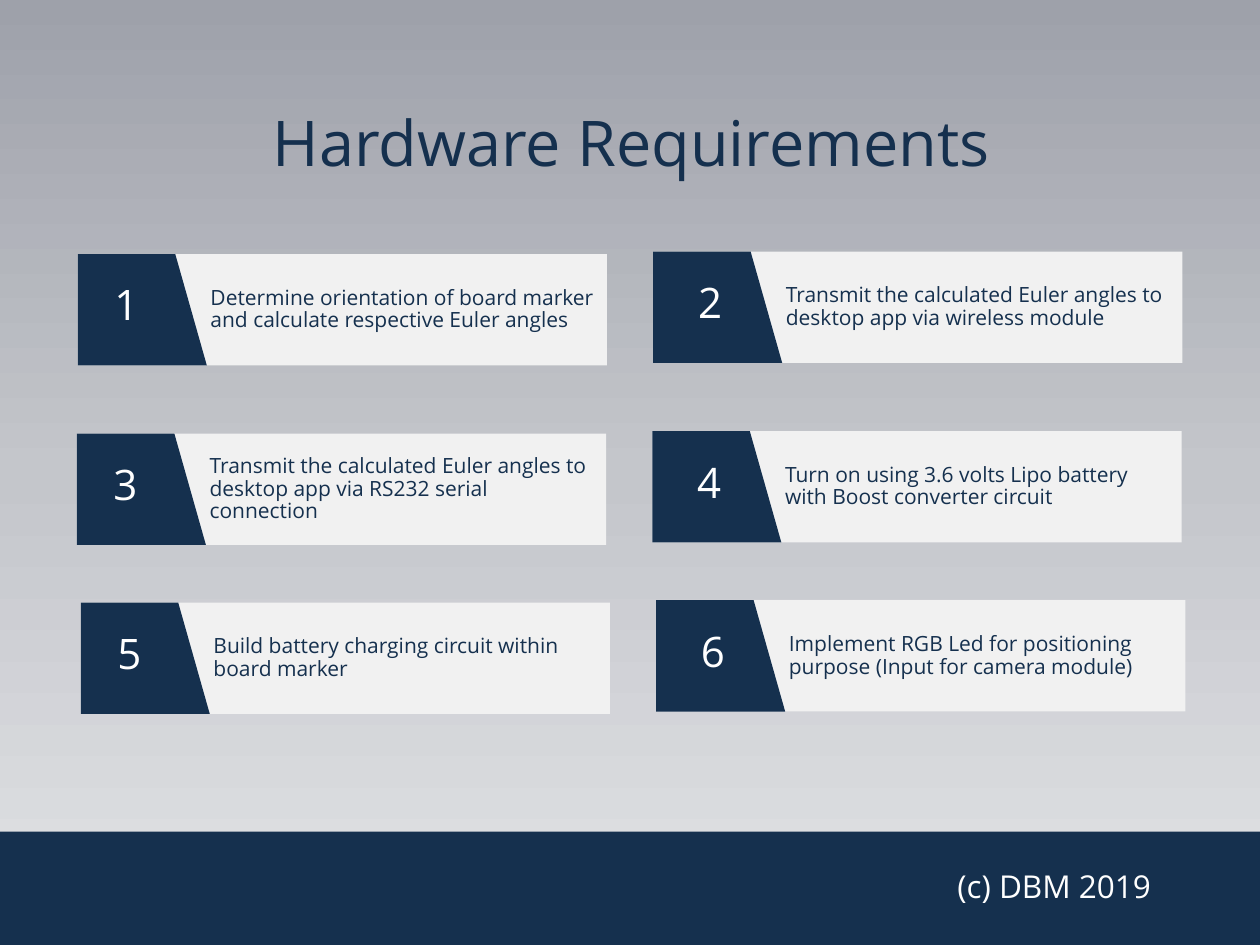
from copy import deepcopy
from dataclasses import dataclass

from pptx import Presentation
from pptx.dml.color import RGBColor
from pptx.enum.shapes import MSO_SHAPE
from pptx.enum.text import MSO_ANCHOR, MSO_AUTO_SIZE, PP_ALIGN
from pptx.oxml.ns import qn
from pptx.util import Pt


@dataclass(frozen=True)
class Theme:
    font: str = "Open Sans"
    navy: RGBColor = RGBColor(0x15, 0x30, 0x4E)
    panel: RGBColor = RGBColor(0xF1, 0xF1, 0xF1)
    white: RGBColor = RGBColor(0xFF, 0xFF, 0xFF)
    background: tuple = ("9EA1AA", "C4C6CB", "E2E3E6")
    title_size: int = 36
    number_size: int = 24
    body_size: int = 12
    footer_size: int = 18


THEME = Theme()
SLIDE_WIDTH, SLIDE_HEIGHT = 720, 540
CARD_WIDTH, CARD_HEIGHT = 302.4, 63.6
COLUMN_STEP, COLUMN_RISE = 328.8, 1.4

# Left and top of the first card in each row
ROW_ORIGINS = [(44.5, 145.2), (44, 247.8), (46.2, 344.4)]
NUMBER_WIDTHS = (51, 60.5)
REQUIREMENTS = [
    "Determine orientation of board marker and calculate respective Euler angles",
    "Transmit the calculated Euler angles to desktop app via wireless module",
    "Transmit the calculated Euler angles to desktop app via RS232 serial connection",
    "Turn on using 3.6 volts Lipo battery with Boost converter circuit",
    "Build battery charging circuit within board marker",
    "Implement RGB Led for positioning purpose (Input for camera module)",
]


def paint(shape, color):
    shape.shadow.inherit = False
    shape.fill.solid()
    shape.fill.fore_color.rgb = color
    shape.line.fill.background()


def write(shape, text, size, color, align=PP_ALIGN.LEFT, anchor=MSO_ANCHOR.TOP,
          margins=(0, 0), line_spacing=1.0):
    """Fill a text shape; margins are horizontal and vertical."""
    frame = shape.text_frame
    frame.word_wrap = True
    frame.auto_size = MSO_AUTO_SIZE.NONE
    frame.vertical_anchor = anchor
    frame.margin_left = frame.margin_right = Pt(margins[0])
    frame.margin_top = frame.margin_bottom = Pt(margins[1])
    frame.text = text
    paragraph = frame.paragraphs[0]
    paragraph.alignment = align
    paragraph.line_spacing = line_spacing
    font = paragraph.runs[0].font
    font.name, font.size, font.color.rgb = THEME.font, Pt(size), color


def add_text(slide, left, top, width, height, *content, **style):
    box = slide.shapes.add_textbox(Pt(left), Pt(top), Pt(width), Pt(height))
    write(box, *content, **style)


def set_background(slide):
    fill = slide.background.fill
    fill.gradient()
    fill.gradient_angle = 270
    stop_list = slide.element.find(".//" + qn("a:gsLst"))
    stop_list.append(deepcopy(stop_list[-1]))
    for index, (stop, color) in enumerate(zip(fill.gradient_stops, THEME.background)):
        stop.position = index / 2
        stop.color.rgb = RGBColor.from_string(color)


def add_title(slide, left, top, width, height):
    title = slide.shapes.title
    title.left, title.top, title.width, title.height = map(Pt, (left, top, width, height))
    write(title, "Hardware Requirements", THEME.title_size, THEME.navy,
          align=PP_ALIGN.CENTER, anchor=MSO_ANCHOR.MIDDLE, margins=(0, 3.6),
          line_spacing=0.9)


def add_card(slide, left, top, width, height, number, number_width, text):
    # Pale panel with a slanted navy tab
    group = slide.shapes.add_group_shape()
    panel = group.shapes.add_shape(
        MSO_SHAPE.RECTANGLE, Pt(left), Pt(top), Pt(width), Pt(height))
    paint(panel, THEME.panel)
    outline = group.shapes.build_freeform(Pt(left), Pt(top))
    outline.add_line_segments([
        (Pt(left + 55.7), Pt(top)),
        (Pt(left + 73.7), Pt(top + height)),
        (Pt(left), Pt(top + height)),
    ], close=True)
    paint(outline.convert_to_shape(), THEME.navy)

    # Number and description
    add_text(slide, left + 2.2, top + 14.2, number_width, 29, str(number),
             THEME.number_size, THEME.white, align=PP_ALIGN.CENTER)
    add_text(slide, left + 75.8, top, 221, height, text,
             THEME.body_size, THEME.navy, anchor=MSO_ANCHOR.MIDDLE,
             margins=(0, 3.6), line_spacing=0.9)


def add_footer(slide, left, top, width, height):
    band = slide.shapes.add_shape(
        MSO_SHAPE.RECTANGLE, Pt(left), Pt(top), Pt(width), Pt(height))
    paint(band, THEME.navy)
    add_text(slide, left + 540, top + 16.6, 166, 48, "(c) DBM 2019",
             THEME.footer_size, THEME.white, margins=(7.2, 3.6))


def main():
    presentation = Presentation()
    presentation.slide_width, presentation.slide_height = Pt(SLIDE_WIDTH), Pt(SLIDE_HEIGHT)
    slide = presentation.slides.add_slide(presentation.slide_layouts[5])
    set_background(slide)
    add_title(slide, 55.4, 54, 610.6, 59)

    # Two columns of cards, the right one slightly higher
    for index, text in enumerate(REQUIREMENTS):
        row, column = divmod(index, 2)
        left, top = ROW_ORIGINS[row]
        add_card(slide, left + column * COLUMN_STEP, top - column * COLUMN_RISE,
                 CARD_WIDTH, CARD_HEIGHT, index + 1, NUMBER_WIDTHS[column], text)

    add_footer(slide, 0, 475.2, SLIDE_WIDTH, SLIDE_HEIGHT - 475.2)
    presentation.save("out.pptx")


if __name__ == "__main__":
    main()
